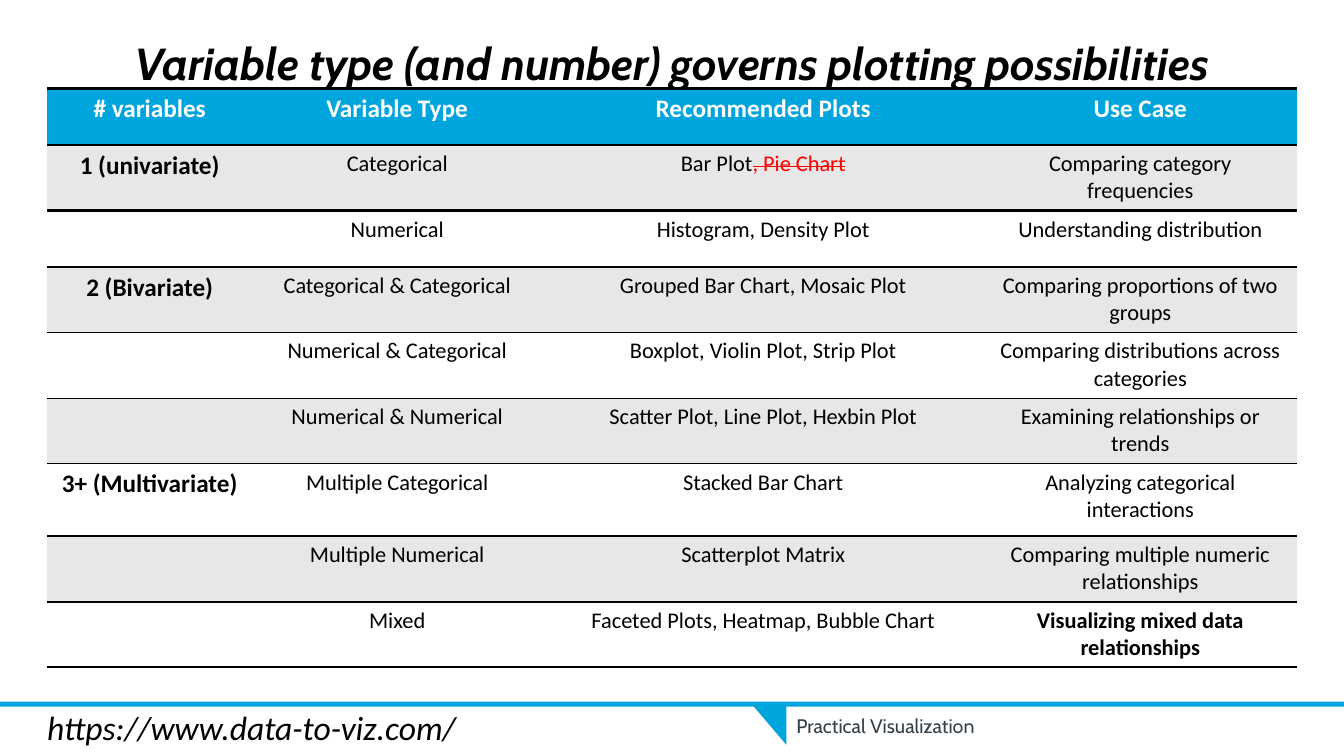
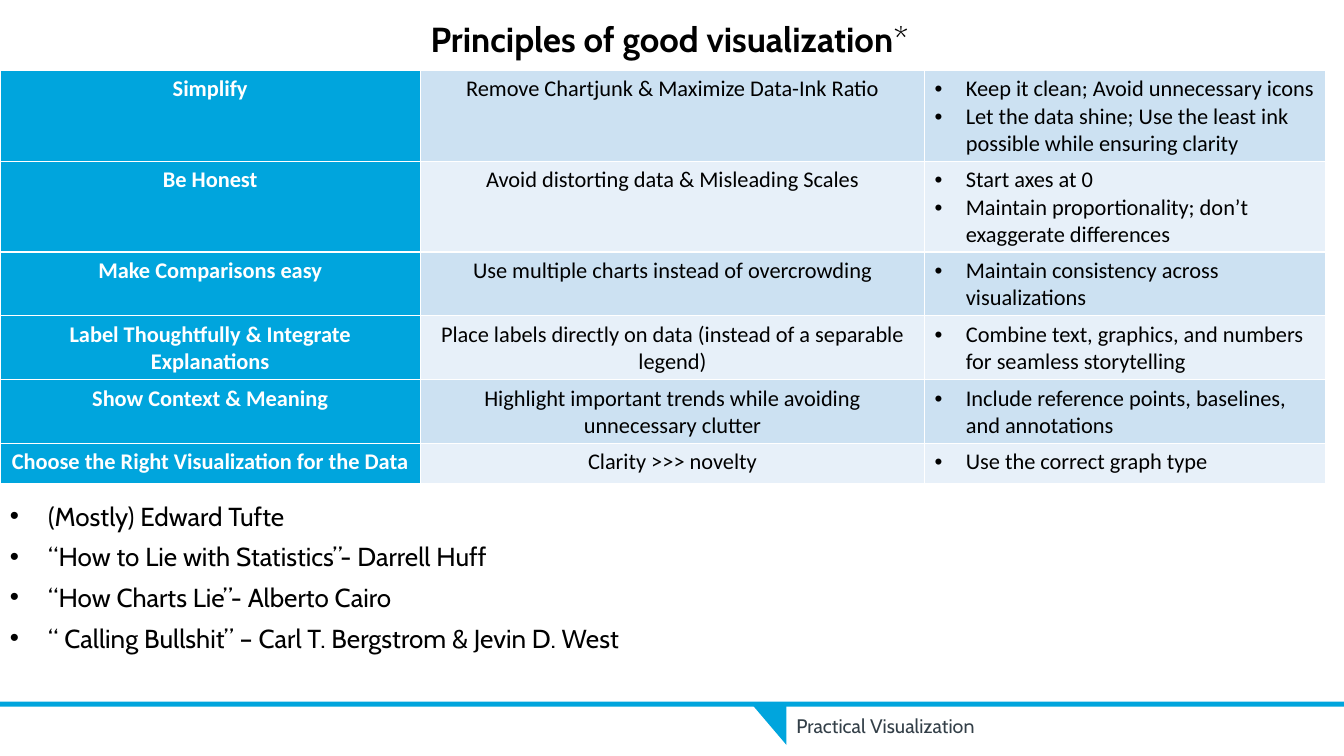
import dataclasses
import pptx
import pptx.util
import pptx.dml.color
import pptx.enum.shapes
import pptx.enum.text
import pptx.oxml
import pptx.oxml.ns

Inches = pptx.util.Inches
Shape = pptx.enum.shapes.MSO_SHAPE
Align = pptx.enum.text.PP_ALIGN


@dataclasses.dataclass(frozen=True)
class Theme:
    blue: str = "00A5DD"
    black: str = "000000"
    white: str = "FFFFFF"
    red: str = "FF0000"
    slate: str = "333F48"
    gray: str = "E7E7E7"
    deep: str = "CCE1F2"
    pale: str = "E7F0F9"
    head: str = "Cabin"
    body: str = "Calibri"
    big: float = 32
    mid: float = 24.8
    link: float = 24
    list: float = 18.6
    label: float = 18
    cell: float = 16
    foot: float = 14


T = Theme()
PLAIN = dict(name=T.body, size=T.cell, color=T.black, bold=False)
LABEL = PLAIN | dict(size=T.label, bold=True)
HEADER = LABEL | dict(color=T.white)
STRONG = PLAIN | dict(bold=True)
SIDE = STRONG | dict(color=T.white)
STRUCK = PLAIN | dict(color=T.red, strike=True)
TITLE = dict(name=T.head, size=T.big, color=T.black, bold=True, italic=True)
SMALL = TITLE | dict(size=T.mid, italic=False)
LIST = dict(name=T.head, size=T.list, color=T.black)
FOOT = dict(name=T.head, size=T.foot, color=T.slate)
LINK = dict(name=T.body, size=T.link, color=T.black, italic=True)


def rgb(code):
    return pptx.dml.color.RGBColor.from_string(code)


class Deck:
    def __init__(self):
        self.file = pptx.Presentation()
        self.file.slide_width = Inches(13.33)
        self.file.slide_height = Inches(7.5)
        self.slide = None

    def page(self):
        self.slide = self.file.slides.add_slide(self.file.slide_layouts[6])
        self.shape(Shape.RECTANGLE, 0, 6.96, 13.33, 0.05)
        self.shape(Shape.RIGHT_TRIANGLE, 7.46, 6.99, 0.34, 0.4, 180)
        self.text([["Practical Visualization"]], (7.8, 7.11, 5.53, 0.21), FOOT,
                  space=0.9, pad=0)

    def shape(self, kind, left, top, wide, high, turn=0):
        item = self.slide.shapes.add_shape(
            kind, Inches(left), Inches(top), Inches(wide), Inches(high))
        item.rotation = turn
        item.shadow.inherit = False
        item.fill.solid()
        item.fill.fore_color.rgb = rgb(T.blue)
        item.line.fill.background()

    def run(self, par, text, form):
        run = par.add_run()
        run.text = text
        for key, val in form.items():
            if key == "color":
                run.font.color.rgb = rgb(val)
            elif key == "strike":
                run._r.get_or_add_rPr().set("strike", "sngStrike")
            else:
                setattr(run.font, key, pptx.util.Pt(val) if key == "size" else val)

    def bullet(self, par, gap):
        props = par._p.get_or_add_pPr()
        props.set("marL", str(Inches(gap)))
        props.set("indent", str(-Inches(gap)))
        for tag, key, val in (("buFont", "typeface", "Arial"), ("buChar", "char", "•")):
            mark = pptx.oxml.ns.qn("a:" + tag)
            props.append(props.makeelement(mark, {key: val}))

    def lines(self, frame, lines, form, align=Align.LEFT, gap=0, space=None):
        for row, line in enumerate(lines):
            par = frame.add_paragraph() if row else frame.paragraphs[0]
            if gap:
                self.bullet(par, gap)
            par.alignment = align
            if space:
                par.line_spacing = space
            for part in line:
                text, style = (part, form) if isinstance(part, str) else part
                self.run(par, text, style)

    def text(self, lines, area, form, pad=0.05, **more):
        frame = self.slide.shapes.add_textbox(*map(Inches, area)).text_frame
        frame.word_wrap = True
        frame.margin_top = frame.margin_bottom = Inches(pad)
        self.lines(frame, lines, form, **more)

    def grid(self, left, top, cols, rows):
        frame = self.slide.shapes.add_table(
            len(rows), len(cols), Inches(left), Inches(top),
            Inches(sum(cols)), Inches(sum(rows)))
        table = frame.table
        table.first_row = table.horz_banding = False
        style = table._tbl.tblPr.find(pptx.oxml.ns.qn("a:tableStyleId"))
        style.text = "{2D5ABB26-0587-4C30-8999-92F81FD0307C}"
        for col, wide in zip(table.columns, cols):
            col.width = Inches(wide)
        for row, high in zip(table.rows, rows):
            row.height = Inches(high)
        return table

    def cell(self, cell, lines, form, fill, edges, **more):
        props = cell._tc.get_or_add_tcPr()
        for side, (color, width) in edges.items():
            props.append(pptx.oxml.parse_xml(
                f'<a:ln{side} {pptx.oxml.ns.nsdecls("a")} w="{pptx.util.Pt(width)}">'
                f'<a:solidFill><a:srgbClr val="{color}"/></a:solidFill></a:ln{side}>'))
        cell.fill.solid()
        cell.fill.fore_color.rgb = rgb(fill)
        self.lines(cell.text_frame, lines, form, **more)


def plots(deck):
    deck.page()
    deck.text([["Variable type (and number) governs plotting possibilities"]],
              (0.18, 0.04, 12.98, 0.9), TITLE, align=Align.CENTER, space=1.5)
    deck.text([["https://www.data-to-viz.com/"]], (0.37, 6.96, 4.5, 0.5), LINK)
    data = [
        ("# variables", "Variable Type", "Recommended Plots", "Use Case"),
        ("1 (univariate)", "Categorical", ("Bar Plot", (", Pie Chart", STRUCK)),
         "Comparing category frequencies"),
        ("", "Numerical", "Histogram, Density Plot", "Understanding distribution"),
        ("2 (Bivariate)", "Categorical & Categorical",
         "Grouped Bar Chart, Mosaic Plot", "Comparing proportions of two groups"),
        ("", "Numerical & Categorical", "Boxplot, Violin Plot, Strip Plot",
         "Comparing distributions across categories"),
        ("", "Numerical & Numerical", "Scatter Plot, Line Plot, Hexbin Plot",
         "Examining relationships or trends"),
        ("3+ (Multivariate)", "Multiple Categorical", "Stacked Bar Chart",
         "Analyzing categorical interactions"),
        ("", "Multiple Numerical", "Scatterplot Matrix",
         "Comparing multiple numeric relationships"),
        ("", "Mixed", "Faceted Plots, Heatmap, Bubble Chart",
         (("Visualizing mixed data relationships", STRONG),)),
    ]
    rules = {0: 2, 1: 2, 3: 1, 4: 1, 6: 1, 7: 1.5, 9: 2}
    table = deck.grid(0.47, 0.88, [2.03, 2.88, 4.38, 3.1],
                      [0.56, 0.65, 0.56, 0.65, 0.65, 0.65, 0.72, 0.65, 0.65])
    for row, items in enumerate(data):
        edges = {side: (T.black, rules[line])
                 for side, line in (("T", row), ("B", row + 1)) if line in rules}
        fill = T.gray if row % 2 else T.white if row else T.blue
        for col, item in enumerate(items):
            form = HEADER if row == 0 else PLAIN if col else LABEL
            line = [item] if isinstance(item, str) else item
            deck.cell(table.cell(row, col), [line] if item else [], form, fill,
                      edges, align=Align.CENTER)


def ideas(deck):
    deck.page()
    deck.text([["Principles of good visualization", ("*", SMALL | dict(bold=False))]],
              (0, 0, 13.28, 0.65), SMALL, align=Align.CENTER, space=1.3)
    books = ["(Mostly) Edward Tufte",
             "“How to Lie with Statistics”- Darrell Huff",
             "“How Charts Lie”- Alberto Cairo",
             "“ Calling Bullshit” – Carl T. Bergstrom & Jevin D. West"]
    deck.text([[book] for book in books], (0, 4.82, 13.28, 1.75), LIST,
              gap=0.38, space=1.3)
    data = [
        ("Simplify", "Remove Chartjunk & Maximize Data-Ink Ratio",
         "Keep it clean; Avoid unnecessary icons",
         "Let the data shine; Use the least ink possible while ensuring clarity"),
        ("Be Honest", "Avoid distorting data & Misleading Scales", "Start axes at 0",
         "Maintain proportionality; don’t exaggerate differences"),
        ("Make Comparisons easy", "Use multiple charts instead of overcrowding",
         "Maintain consistency across visualizations"),
        ("Label Thoughtfully & Integrate Explanations",
         "Place labels directly on data (instead of a separable legend)",
         "Combine text, graphics, and numbers for seamless storytelling"),
        ("Show Context & Meaning",
         "Highlight important trends while avoiding unnecessary clutter",
         "Include reference points, baselines, and annotations"),
        ("Choose the Right Visualization for the Data", "Clarity >>> novelty",
         "Use the correct graph type"),
    ]
    table = deck.grid(0, 0.7, [4.17, 5, 3.98], [0.88, 0.88, 0.62, 0.62, 0.62, 0.4])
    edges = dict.fromkeys("LRTB", (T.white, 1))
    for row, (name, rule, *tips) in enumerate(data):
        band = T.pale if row % 2 else T.deep
        deck.cell(table.cell(row, 0), [[name]], SIDE, T.blue, edges, align=Align.CENTER)
        deck.cell(table.cell(row, 1), [[rule]], PLAIN, band, edges, align=Align.CENTER)
        deck.cell(table.cell(row, 2), [[tip] for tip in tips], PLAIN, band, edges,
                  gap=0.31)


def main():
    deck = Deck()
    plots(deck)
    ideas(deck)
    deck.file.save("out.pptx")


if __name__ == "__main__":
    main()
